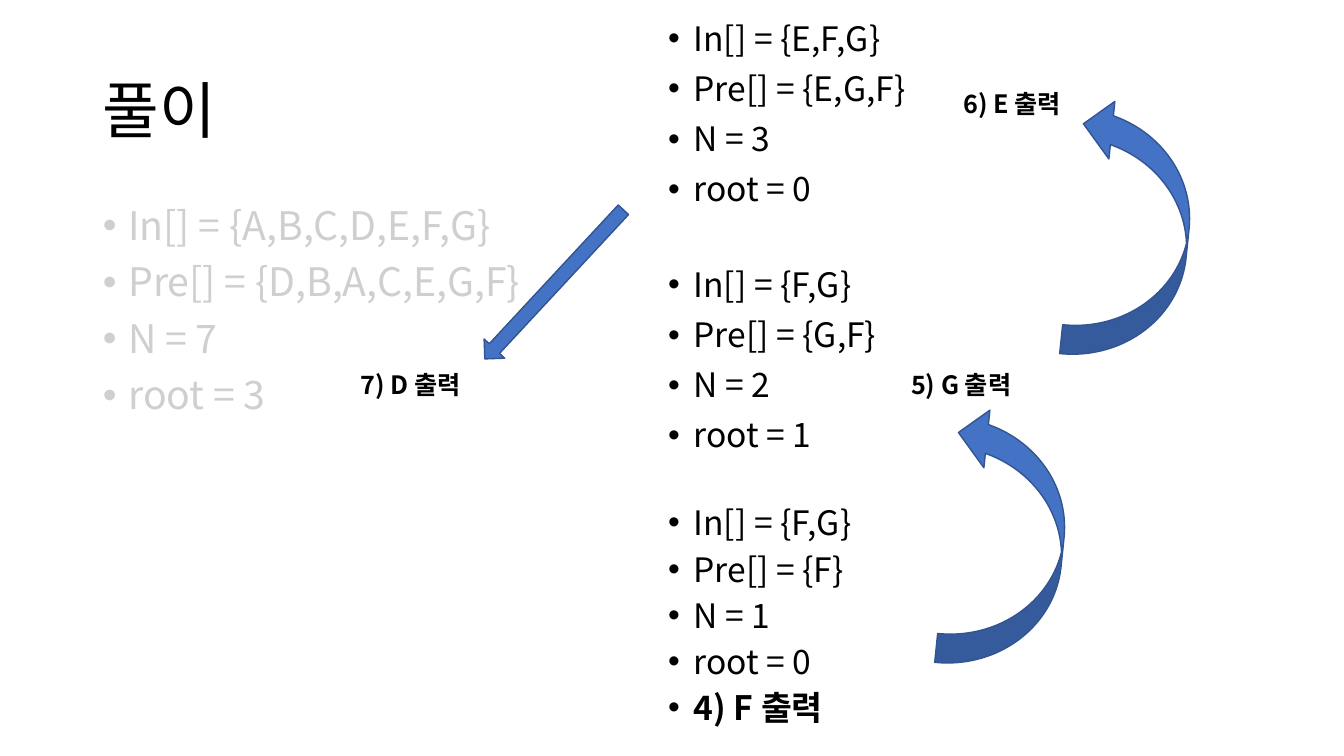
from lxml.etree import SubElement
from pptx import Presentation
from pptx.dml.color import RGBColor
from pptx.enum.shapes import MSO_SHAPE
from pptx.enum.text import MSO_ANCHOR, MSO_AUTO_SIZE, PP_ALIGN
from pptx.oxml.ns import qn
from pptx.util import Cm, Pt

FONT = "Noto Sans CJK KR"
BLACK, GREY, BLUE, NAVY = "000000", "D0CECE", "4472C4", "325491"

TITLE = "풀이"
FIRST_CALL = ["In[] = {A,B,C,D,E,F,G}", "Pre[] = {D,B,A,C,E,G,F}", "N = 7", "root = 3"]
# top, height, line spacing, lines
CALLS = [
    (0.43, 6.78, 0.9, ["In[] = {E,F,G}", "Pre[] = {E,G,F}", "N = 3", "root = 0"]),
    (6.63, 5.41, 0.9, ["In[] = {F,G}", "Pre[] = {G,F}", "N = 2", "root = 1"]),
    (12.73, 5.87, 0.8, ["In[] = {F,G}", "Pre[] = {F}", "N = 1", "root = 0", "4) F 출력"]),
]
# text, left, top, width
OUTPUTS = [
    ("5) G 출력", 22.71, 9.19, 3.3),
    ("6) E 출력", 24.03, 2.11, 3.2),
    ("7) D 출력", 8.84, 9.19, 3.33),
]
# preset, (left, top, width, height), rotation
ARROWS = [
    (MSO_SHAPE.CURVED_UP_ARROW, (22.07, 12.12, 6.55, 2.92), 275.9),
    (MSO_SHAPE.CURVED_UP_ARROW, (25.22, 4.34, 6.55, 2.92), 275.9),
    (MSO_SHAPE.LEFT_ARROW, (11.4, 6.81, 5.13, 0.71), 312.9),
]
MARGIN, COLUMN, COLUMN_W = 2.34, 16.59, 13.41


def rgb(value):
    return RGBColor.from_string(value)


def place(sp, *box):
    sp.left, sp.top, sp.width, sp.height = map(Cm, box)


def set_props(target, **props):
    for name, value in props.items():
        setattr(target, name, value)


def add_run(p, text, size, color=BLACK, bold=False):
    r = p.add_run()
    r.text = text
    set_props(r.font, size=Pt(size), bold=bold, name=FONT)
    r.font.color.rgb = rgb(color)
    SubElement(r.font._element, qn("a:ea"), typeface=FONT)


def fill_list(tf, lines, size, color=BLACK, spacing=0.9):
    set_props(tf, word_wrap=True, auto_size=MSO_AUTO_SIZE.NONE)
    for i, line in enumerate(lines):
        p = tf.add_paragraph() if i else tf.paragraphs[0]
        set_props(p, line_spacing=spacing, space_before=Pt(10))
        pPr = p._p.get_or_add_pPr()
        pPr.set("marL", str(Cm(0.64)))
        pPr.set("indent", str(-Cm(0.64)))
        SubElement(pPr, qn("a:buFont"), typeface="Arial")
        SubElement(pPr, qn("a:buChar"), char="•")
        add_run(p, line, size, color, bold=line.endswith("출력"))


def main():
    prs = Presentation()
    prs.slide_width, prs.slide_height = Cm(33.87), Cm(19.05)
    s = prs.slides.add_slide(prs.slide_layouts[1])

    title, body = s.shapes.title, s.placeholders[1]
    place(title, MARGIN, 1.01, 29.21, 3.68)
    tf = title.text_frame
    set_props(tf, vertical_anchor=MSO_ANCHOR.MIDDLE, auto_size=MSO_AUTO_SIZE.NONE)
    p = tf.paragraphs[0]
    set_props(p, alignment=PP_ALIGN.LEFT, line_spacing=0.9)
    add_run(p, TITLE, 44)

    place(body, MARGIN, 5.08, COLUMN_W, 5.79)
    fill_list(body.text_frame, FIRST_CALL, 28, GREY)

    for top, height, spacing, lines in CALLS:
        sp = s.shapes.add_textbox(Cm(COLUMN), Cm(top), Cm(COLUMN_W), Cm(height))
        fill_list(sp.text_frame, lines, 24, spacing=spacing)

    for preset, box, rotation in ARROWS:
        sp = s.shapes.add_shape(preset, *map(Cm, box))
        sp.rotation = rotation
        sp.shadow.inherit = False
        sp.fill.solid()
        sp.fill.fore_color.rgb = rgb(BLUE)
        sp.line.color.rgb = rgb(NAVY)
        sp.line.width = Pt(1)

    for text, left, top, width in OUTPUTS:
        sp = s.shapes.add_textbox(Cm(left), Cm(top), Cm(width), Cm(1.03))
        tf = sp.text_frame
        set_props(tf, word_wrap=False, auto_size=MSO_AUTO_SIZE.SHAPE_TO_FIT_TEXT)
        add_run(tf.paragraphs[0], text, 18, bold=True)

    prs.save("out.pptx")


if __name__ == "__main__":
    main()
